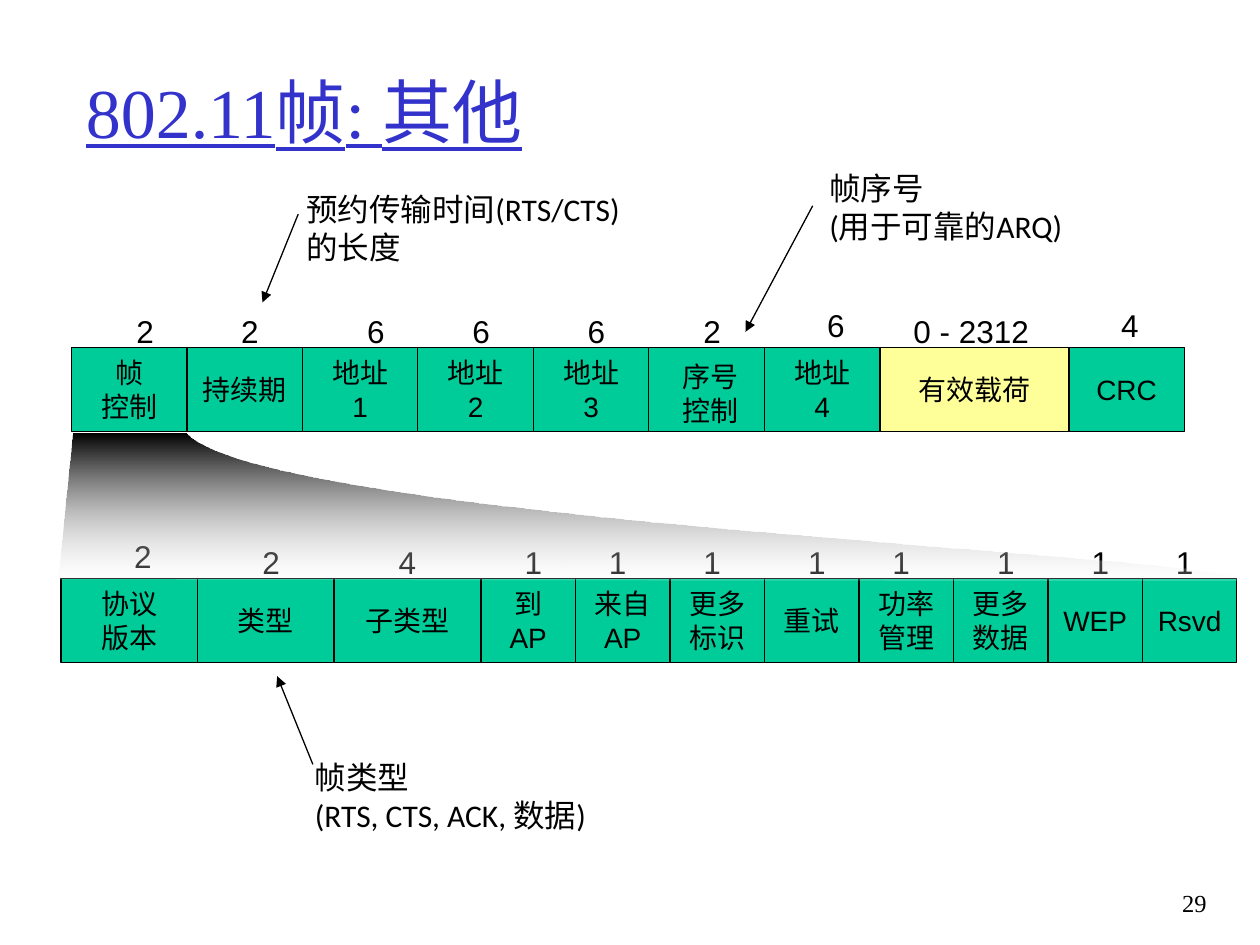
from dataclasses import dataclass
from itertools import accumulate

from lxml.etree import SubElement
from pptx import Presentation
from pptx.dml.color import RGBColor
from pptx.enum.shapes import MSO_CONNECTOR, MSO_SHAPE
from pptx.enum.text import MSO_ANCHOR, MSO_AUTO_SIZE, PP_ALIGN
from pptx.oxml.ns import qn
from pptx.util import Inches, Pt

UNIT = Inches(1) / 12
COLS, ROWS = 120, 90


@dataclass(frozen=True)
class Theme:
    """Colours, fonts and type sizes of the slide."""
    ink: str = "000000"
    paper: str = "FFFFFF"
    title: str = "3333CC"
    field: str = "00CC99"
    payload: str = "FFFF99"
    serif: str = "Times New Roman"
    sans: str = "Arial"
    note: str = "Calibri"
    title_size: int = 40
    label_size: int = 18
    cell_size: int = 16
    page_size: int = 14
    line: float = 0.75


@dataclass(frozen=True)
class Box:
    """A rectangle in grid columns and rows."""
    x: float
    y: float
    w: float
    h: float

    def inner(self, x, y, w, h):
        """Return a box whose offset is counted from this one."""
        return Box(self.x + x, self.y + y, w, h)

    def emu(self):
        """Return left, top, width and height in EMU."""
        return [grid(v) for v in (self.x, self.y, self.w, self.h)]


T = Theme()


def grid(value):
    """Turn grid units into EMU."""
    return round(value * UNIT)


def rgb(value):
    """Return the colour object of a hex string."""
    return RGBColor.from_string(value)


def write(sp, text, font, size, color=T.ink, align=PP_ALIGN.LEFT, underline=None):
    """Write one paragraph for each line of text."""
    tf = sp.text_frame
    for i, line in enumerate(text.split("\n")):
        p = tf.paragraphs[0] if i == 0 else tf.add_paragraph()
        p.alignment = align
        r = p.add_run()
        r.text = line
        r.font.name, r.font.size = font, Pt(size)
        r.font.color.rgb = rgb(color)
        r.font.underline = underline


def add_label(shapes, box, text, font=T.sans, size=T.label_size, align=PP_ALIGN.LEFT):
    """Add unwrapped text that sizes its own box."""
    sp = shapes.add_textbox(*box.emu())
    sp.text_frame.word_wrap = False
    sp.text_frame.auto_size = MSO_AUTO_SIZE.SHAPE_TO_FIT_TEXT
    write(sp, text, font, size, align=align)


def add_cell(shapes, box, text, fill):
    """Add one frame field."""
    sp = shapes.add_shape(MSO_SHAPE.RECTANGLE, *box.emu())
    sp.shadow.inherit = False
    sp.fill.solid()
    sp.fill.fore_color.rgb = rgb(fill)
    sp.line.color.rgb = rgb(T.ink)
    sp.line.width = Pt(T.line)
    sp.text_frame.word_wrap = False
    sp.text_frame.vertical_anchor = MSO_ANCHOR.MIDDLE
    if text:
        write(sp, text, T.sans, T.cell_size, align=PP_ALIGN.CENTER)


def add_frame(s, box, fields, sizes):
    """Add a row of fields with their lengths above it."""
    shapes = s.shapes.add_group_shape().shapes
    widths = [w for _, w in fields]
    for (text, w), x in zip(fields, accumulate(widths, initial=0)):
        fill = T.payload if text == "有效载荷" else T.field
        shown = "" if text == "序号\n控制" else text
        add_cell(shapes, box.inner(x, 0, w, box.h), shown, fill)
        if text != shown:
            add_label(shapes, box.inner(x + 2, 0.6, 7.8, 7.7), text,
                      size=T.cell_size, align=PP_ALIGN.CENTER)
    for text, x, rise in sizes:
        w = 4.1 if len(text) == 1 else 13.6
        add_label(shapes, box.inner(x, -rise, w, 4.8), text)


def add_zoom(s, box):
    """Add the shaded fan from the control field to its details."""
    curve = [(112.4, box.h), (114.4, 11.6), (20.3, 8.5), (12.2, 0)]
    steps = 60
    points = [(0, 13.8)]
    for i in range(steps + 1):
        t = i / steps
        weights = ((1 - t) ** 3, 3 * t * (1 - t) ** 2, 3 * t * t * (1 - t), t ** 3)
        points.append([sum(k * c[axis] for k, c in zip(weights, curve)) for axis in (0, 1)])
    builder = s.shapes.build_freeform(grid(box.x + 1.4), grid(box.y))
    builder.add_line_segments([(grid(box.x + x), grid(box.y + y)) for x, y in points])
    sp = builder.convert_to_shape()
    sp.shadow.inherit = False
    sp.line.fill.background()
    sp.fill.gradient()
    sp.fill.gradient_angle = 270
    for stop, color in zip(sp.fill.gradient_stops, (T.ink, T.paper)):
        stop.color.rgb = rgb(color)
    last = list(sp.element.spPr.iter(qn("a:srgbClr")))[-1]
    SubElement(last, qn("a:alpha"), val="18000")


def add_note(s, box, text, start, end):
    """Add a remark and its arrow, both ends counted from the box."""
    add_label(s.shapes, box, text, T.note)
    points = [grid(v) for dx, dy in (start, end) for v in (box.x + dx, box.y + dy)]
    arrow = s.shapes.add_connector(MSO_CONNECTOR.STRAIGHT, *points)
    arrow.line.color.rgb = rgb(T.ink)
    arrow.line.width = Pt(T.line)
    SubElement(arrow.get_or_add_ln(), qn("a:tailEnd"), type="triangle")
    SubElement(arrow.element.spPr, qn("a:effectLst"))


def add_title(s, box, text):
    """Add the underlined heading."""
    sp = s.shapes.add_textbox(*box.emu())
    sp.text_frame.word_wrap = True
    sp.text_frame.vertical_anchor = MSO_ANCHOR.MIDDLE
    write(sp, text, T.serif, T.title_size, T.title, underline=True)


def add_page_number(s, box, text):
    """Add the page number at the right."""
    sp = s.shapes.add_textbox(*box.emu())
    sp.text_frame.word_wrap = True
    write(sp, text, T.serif, T.page_size, align=PP_ALIGN.RIGHT)


def main():
    """Build and save the slide."""
    prs = Presentation()
    prs.slide_width, prs.slide_height = grid(COLS), grid(ROWS)
    s = prs.slides.add_slide(prs.slide_layouts[6])
    add_page_number(s, Box(107.2, 84, 8.9, 6), "29")
    add_frame(
        s, Box(6.8, 33.1, 106, 8),
        [("帧\n控制", 11), ("持续期", 11), ("地址\n1", 11), ("地址\n2", 11),
         ("地址\n3", 11), ("序号\n控制", 11), ("地址\n4", 11), ("有效载荷", 18), ("CRC", 11)],
        [("2", 5, 4), ("2", 15, 4), ("6", 27, 4), ("6", 37, 4), ("6", 48, 4),
         ("2", 59, 4), ("6", 70.8, 4.5), ("0 - 2312", 79, 4), ("4", 98.8, 4.5)])
    add_frame(
        s, Box(5.8, 55.1, 112, 8),
        [("协议\n版本", 13), ("类型", 13), ("子类型", 14), ("到\nAP", 9), ("来自\nAP", 9),
         ("更多\n标识", 9), ("重试", 9), ("功率\n管理", 9), ("更多\n数据", 9),
         ("WEP", 9), ("Rsvd", 9)],
        [("2", 5.8, 4.5), ("2", 18, 4), ("4", 31, 4)]
        + [("1", x, 4) for x in (43, 51, 60, 70, 78, 88, 97, 105)])
    add_zoom(s, Box(5.6, 41.3, 114.4, 14))
    add_title(s, Box(7, 3, 102, 15), "802.11帧: 其他")
    add_note(s, Box(28, 17.5, 33.6, 8.5), "预约传输时间(RTS/CTS)\n的长度", (0.4, 2.9), (-3, 11.3))
    add_note(s, Box(77.8, 15.5, 26.3, 8.4), "帧序号\n(用于可靠的ARQ)", (-0.4, 4.1), (-6.8, 16.1))
    add_note(s, Box(28.8, 71.6, 30, 8.5), "帧类型\n(RTS, CTS, ACK, 数据)", (1, 1.2), (-2.4, -7.2))
    prs.save("out.pptx")


if __name__ == "__main__":
    main()
